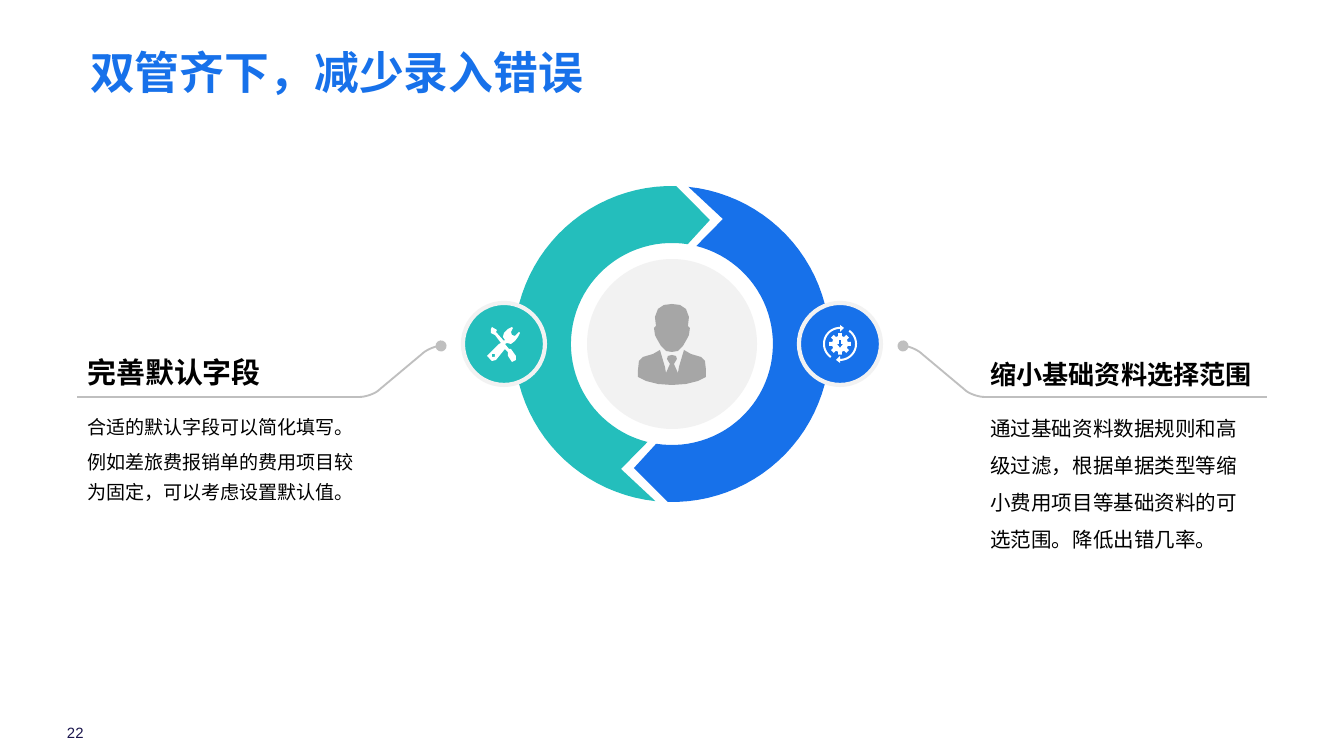
from math import cos, sin, radians

from lxml import etree
from pptx import Presentation
from pptx.dml.color import RGBColor
from pptx.enum.shapes import MSO_CONNECTOR, MSO_SHAPE
from pptx.enum.text import MSO_ANCHOR
from pptx.oxml.ns import qn
from pptx.util import Emu, Pt

OVAL, STRAIGHT = MSO_SHAPE.OVAL, MSO_CONNECTOR.STRAIGHT
TOP, MIDDLE, BOTTOM = MSO_ANCHOR.TOP, MSO_ANCHOR.MIDDLE, MSO_ANCHOR.BOTTOM
WIDTH, HEIGHT = 1344, 756
SCALE = 914400 / 134.4
CJK = "Noto Sans CJK SC"
BLUE, TEAL, PALE, GREY = "1771EA", "24BEBC", "F2F2F2", "BFBFBF"

# Icon outlines, in px
HEAD = [(34, 0), (26, 1), (20, 5), (17, 13), (18, 22), (16, 24), (17, 31),
        (19, 35), (23, 42), (28, 47), (34, 48)]
SUIT = [(34, 51), (30, 52), (29, 55), (32, 60), (28, 69), (27, 63), (22, 46),
        (15, 50), (5, 53), (1, 57), (0, 66), (0, 73), (8, 77), (20, 80), (34, 81)]
TOOLS = [(16, -11), (15, -12), (11, -8), (8, -9), (7, -12), (9, -16), (8, -17),
         (4, -15), (0, -11), (-1, -7), (1, -4), (0, -3), (-8, -12), (-7, -14),
         (-12, -17), (-13, -15), (-13, -11), (-9, -9), (-3, -1), (-5, 0),
         (-17, 12), (-12, 17), (-8, 16), (1, 5), (4, 8), (4, 12), (8, 18),
         (12, 16), (12, 12), (7, 5), (5, 5), (1, 0), (3, -1), (7, 0), (11, -3),
         (14, -7)]
TOOL_HOLE = [(-9, 13), (-12, 13), (-12, 10), (-9, 10)]
BOLT = [(-1, -4), (-1, 0), (-3, 0), (0, 4), (3, 0), (1, 0), (1, -4)]


def px(n):
    return Emu(round(n * SCALE))


def color(value):
    return RGBColor.from_string(value)


# Geometry
def polar(r, angle):
    return r * cos(radians(angle)), r * sin(radians(angle))


def arc(r, start, end, steps=48):
    return [polar(r, start + (end - start) * i / steps) for i in range(steps + 1)]


def bezier(a, b, c, d, steps=10):
    ts = [i / steps for i in range(steps + 1)]
    return [tuple((1 - t) ** 3 * a[k] + 3 * t * (1 - t) ** 2 * b[k]
                  + 3 * t * t * (1 - t) * c[k] + t ** 3 * d[k] for k in (0, 1))
            for t in ts]


def half_turn(points):
    return [(-x, -y) for x, y in points]


def symmetric(half, axis):
    return half + [(2 * axis - x, y) for x, y in reversed(half)]


# Drawing helpers
def outline(s, x, y, contours, fill=None):
    builder = None
    for points in contours:
        (x0, y0), *rest = [(px(a), px(b)) for a, b in points]
        if builder is None:
            builder = s.shapes.build_freeform(x0, y0)
        else:
            builder.move_to(x0, y0)
        builder.add_line_segments(rest, close=fill is not None)
    sp = builder.convert_to_shape(px(x), px(y))
    sp.shadow.inherit = False
    if fill:
        sp.fill.solid()
        sp.fill.fore_color.rgb = color(fill)
        sp.line.fill.background()
    else:
        sp.fill.background()
    return sp


def set_line(sp, value, width):
    sp.line.color.rgb = color(value)
    sp.line.width = Pt(width)


def disc(s, cx, cy, r, fill, border=None):
    sp = s.shapes.add_shape(OVAL, px(cx - r), px(cy - r), px(2 * r), px(2 * r))
    sp.shadow.inherit = False
    sp.fill.solid()
    sp.fill.fore_color.rgb = color(fill)
    if border:
        set_line(sp, border, 2.25)
    else:
        sp.line.fill.background()


def text(s, box, words, size, value="000000", bold=False, anchor=TOP,
         spacing=None, font=CJK, inset=True):
    tf = s.shapes.add_textbox(*map(px, box)).text_frame
    tf.word_wrap = True
    tf.vertical_anchor = anchor
    if not inset:
        tf.margin_left = tf.margin_right = tf.margin_top = tf.margin_bottom = 0
    p = tf.paragraphs[0]
    if spacing:
        p.line_spacing = spacing
    r = p.add_run()
    r.text = words
    r.font.size, r.font.bold, r.font.name = Pt(size), bold, font
    r.font.color.rgb = color(value)
    etree.SubElement(r.font._element, qn("a:ea"), typeface=font)


# Two-part arrow ring with the person in the middle
def ring(s, x, y, size):
    c = size // 2
    cx, cy = x + c, y + c
    half = ([(-51, 125)] + arc(101, 104, 279) + [(38, -124)]
            + arc(158, 271.5, 96))
    outline(s, cx, cy, [half], TEAL)
    outline(s, cx, cy, [half_turn(half)], BLUE)
    disc(s, cx, cy, 85, PALE)
    outline(s, cx - 34, cy - 40, [symmetric(SUIT, 34), symmetric(HEAD, 34)], "A6A6A6")


# Round badge with a white icon
def badge(s, cx, cy, fill, icon):
    disc(s, cx, cy, 41, fill, PALE)
    outline(s, cx, cy, icon, "FFFFFF")


def gear_icon():
    gear = [polar(r, 45 * k + turn) for k in range(8)
            for r, turn in ((11, -10), (11, 10), (8, 14), (8, 31))]
    arrow = arc(17, -55, 90) + [(0, 19), (-4, 16), (0, 12)] + arc(15, 90, -55)
    return [gear, BOLT, arrow, half_turn(arrow)]


# Callout: heading on a rule that bends up to a dot, body text below
def callout(s, x, y, side, heading, size, bodies):
    w = 293
    outer, bend = (x + 3, x + 286) if side > 0 else (x + w - 3, x + 7)
    rule = s.shapes.add_connector(STRAIGHT, px(bend), px(y), px(outer), px(y))
    set_line(rule, GREY, 1)
    etree.SubElement(rule._element.spPr, qn("a:effectLst"))
    path = (bezier((0, 0), (5, 0), (15, -3), (19, -7))
            + bezier((62, -43), (66, -47), (75, -51), (81, -51)))
    sp = outline(s, bend, y, [[(side * a, b) for a, b in path]])
    set_line(sp, GREY, 1)
    etree.SubElement(sp.line._get_or_add_ln(), qn("a:tailEnd"), type="oval")
    text(s, (x, y - 51, w, 50), heading, size, bold=True, anchor=BOTTOM)
    for dy, h, body_size, spacing, words in bodies:
        text(s, (x, y + dy, w, h), words, body_size, spacing=spacing)


def main():
    prs = Presentation()
    prs.slide_width, prs.slide_height = px(WIDTH), px(HEIGHT)
    s = prs.slides.add_slide(prs.slide_layouts[6])

    # Page number and title
    text(s, (67, 724, 34, 17), "22", 8, "1A154C", anchor=MIDDLE,
         font="Arial", inset=False)
    text(s, (77, 34, 1198, 75), "双管齐下，减少录入错误", 24, BLUE, True, MIDDLE)

    # Diagram
    ring(s, 514, 186, 316)
    badge(s, 840, 344, BLUE, gear_icon())
    badge(s, 504, 344, TEAL, [TOOLS, TOOL_HOLE])

    # Callouts
    callout(s, 74, 397, 1, "完善默认字段", 15.5, [
        (0, 70, 10.2, 1.5, "合适的默认字段可以简化填写。"),
        (40, 70, 10.2, 1.3, "例如差旅费报销单的费用项目较为固定，可以考虑设置默认值。")])
    callout(s, 977, 397, -1, "缩小基础资料选择范围", 14, [
        (0, 194, 11, 1.5, "通过基础资料数据规则和高级过滤，根据单据类型等缩小费用项目等"
                          "基础资料的可选范围。降低出错几率。")])
    prs.save("out.pptx")


if __name__ == "__main__":
    main()
